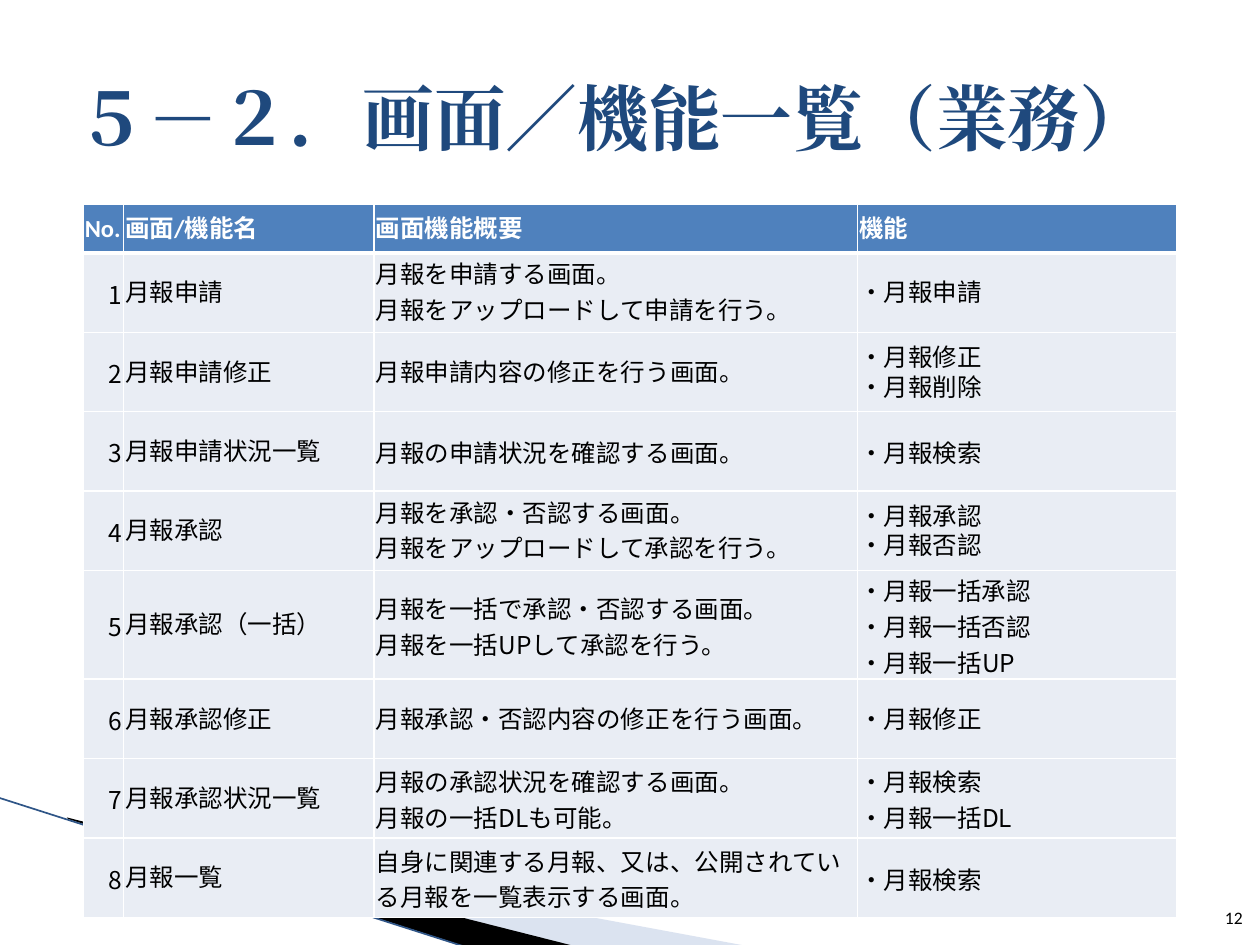
from lxml.etree import SubElement
from pptx import Presentation
from pptx.dml.color import RGBColor
from pptx.enum.shapes import MSO_CONNECTOR
from pptx.enum.text import MSO_ANCHOR, PP_ALIGN
from pptx.oxml.ns import qn
from pptx.util import Cm, Pt

THEME = {
    "title": "1F497D", "header": "4F81BD", "body": "E9EDF4", "white": "FFFFFF",
    "black": "000000", "wave": "A7B9DB", "line": "2F5587",
    "title_size": 41, "table_size": 14, "number_size": 10,
    "title_font": "Cambria", "latin": "Calibri", "cjk": "Noto Sans CJK JP",
}
LATIN, CJK = THEME["latin"], THEME["cjk"]


def write(tf, text, font=LATIN, later_font=None, size=14, color="black",
          bold=False, align=PP_ALIGN.LEFT):
    tf.word_wrap = True
    for i, line in enumerate(text.split("\n")):
        p = tf.paragraphs[0] if i == 0 else tf.add_paragraph()
        p.alignment = align
        r = p.add_run()
        r.text = line
        r.font.name = later_font if i and later_font else font
        r.font.size = Pt(size)
        r.font.bold = bold
        r.font.color.rgb = RGBColor.from_string(THEME[color])
        SubElement(r.font._element, qn("a:ea"), typeface=r.font.name)


def set_borders(cell, bottom):
    tc_pr = cell._tc.get_or_add_tcPr()
    for side, width in (("L", 1), ("R", 1), ("T", 1), ("B", bottom)):
        ln = SubElement(tc_pr, qn(f"a:ln{side}"), w=str(Pt(width)))
        fill = SubElement(ln, qn("a:solidFill"))
        SubElement(fill, qn("a:srgbClr"), val=THEME["white"])


prs = Presentation()
prs.slide_width, prs.slide_height = Cm(25.4), Cm(19.05)
s = prs.slides.add_slide(prs.slide_layouts[6])

waves = [
    ("wave", 40, [(1.4, 16.54), (15.11, 19.08), (11.58, 19.08), (1.4, 16.51)]),
    ("black", 100, [(1.35, 16.48), (11.61, 19.08), (9.45, 19.1), (1.37, 16.51)]),
]
for color, opacity, points in waves:
    points = [(Cm(x), Cm(y)) for x, y in points]
    builder = s.shapes.build_freeform(*points[0], scale=1.0)
    builder.add_line_segments(points[1:], close=True)
    sp = builder.convert_to_shape()
    sp.shadow.inherit = False
    sp.line.fill.background()
    sp.fill.solid()
    sp.fill.fore_color.rgb = RGBColor.from_string(THEME[color])
    if opacity < 100:
        clr = sp._element.spPr.find(qn("a:solidFill")).find(qn("a:srgbClr"))
        SubElement(clr, qn("a:alpha"), val=str(opacity * 1000))

edge = s.shapes.add_connector(MSO_CONNECTOR.STRAIGHT, Cm(-0.03), Cm(16.08), Cm(9.42), Cm(19.1))
edge.line.width = Pt(0.95)
edge.line.color.rgb = RGBColor.from_string(THEME["line"])
SubElement(edge._element.spPr, qn("a:effectLst"))

headers = ["No.", "画面/機能名", "画面機能概要", "機能"]
screens = [
    ("月報申請", "月報を申請する画面。\n月報をアップロードして申請を行う。", "・月報申請", LATIN),
    ("月報申請修正", "月報申請内容の修正を行う画面。", "・月報修正\n・月報削除", LATIN),
    ("月報申請状況一覧", "月報の申請状況を確認する画面。", "・月報検索", CJK),
    ("月報承認", "月報を承認・否認する画面。\n月報をアップロードして承認を行う。",
     "・月報承認\n・月報否認", LATIN),
    ("月報承認(一括)".replace("(", "（").replace(")", "）"),
     "月報を一括で承認・否認する画面。\n月報を一括UPして承認を行う。",
     "・月報一括承認\n・月報一括否認\n・月報一括UP", CJK),
    ("月報承認修正", "月報承認・否認内容の修正を行う画面。", "・月報修正", LATIN),
    ("月報承認状況一覧", "月報の承認状況を確認する画面。\n月報の一括DLも可能。",
     "・月報検索\n・月報一括DL", CJK),
    ("月報一覧", "自身に関連する月報、又は、公開されている月報を一覧表示する画面。",
     "・月報検索", CJK),
]
rows = [headers] + [[str(n), *screen[:3]] for n, screen in enumerate(screens, 1)]
col_widths = [0.81, 5.05, 9.75, 6.43]
row_heights = [0.99] + [1.85 if "\n" in x[2].replace("\n", "", 1) else 1.6 for x in screens]

frame = s.shapes.add_table(len(rows), len(headers), Cm(1.68), Cm(4.11),
                           Cm(sum(col_widths)), Cm(sum(row_heights)))
table = frame.table
for column, width in zip(table.columns, col_widths):
    column.width = Cm(width)
for row, height in zip(table.rows, row_heights):
    row.height = Cm(height)

for i, texts in enumerate(rows):
    for j, text in enumerate(texts):
        cell = table.cell(i, j)
        cell.margin_left = cell.margin_right = cell.margin_top = Cm(0.03)
        cell.margin_bottom = 0
        cell.vertical_anchor = MSO_ANCHOR.MIDDLE
        set_borders(cell, 1 if i else 3)
        cell.fill.solid()
        cell.fill.fore_color.rgb = RGBColor.from_string(THEME["body" if i else "header"])
        if i == 0:
            write(cell.text_frame, text, size=THEME["table_size"], color="white", bold=True)
        else:
            font = (CJK, LATIN, screens[i - 1][3], screens[i - 1][3])[j]
            write(cell.text_frame, text, font=font, later_font=CJK if j == 2 else None,
                  size=THEME["table_size"], align=PP_ALIGN.LEFT if j else PP_ALIGN.RIGHT)

title = s.shapes.add_textbox(Cm(1.27), Cm(0.76), Cm(22.86), Cm(3.18))
title.text_frame.vertical_anchor = MSO_ANCHOR.MIDDLE
write(title.text_frame, "５－２．画面／機能一覧（業務）", font=THEME["title_font"],
      size=THEME["title_size"], color="title", bold=True)

number = s.shapes.add_textbox(Cm(24.03), Cm(17.81), Cm(1.02), Cm(1.02))
number.text_frame.vertical_anchor = MSO_ANCHOR.BOTTOM
number.text_frame.margin_left = number.text_frame.margin_right = 0
write(number.text_frame, "12", size=THEME["number_size"], align=PP_ALIGN.RIGHT)

prs.save("out.pptx")
